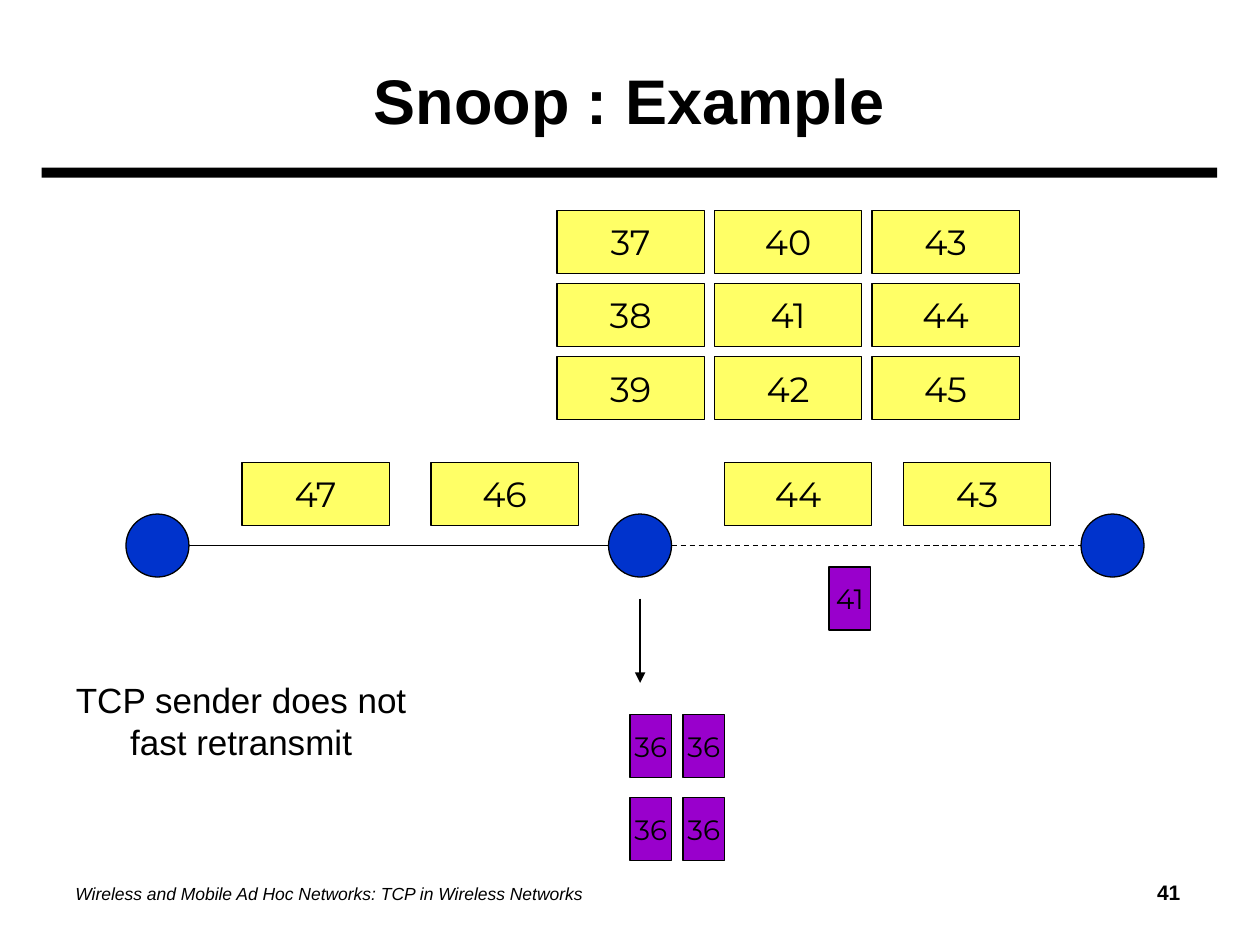
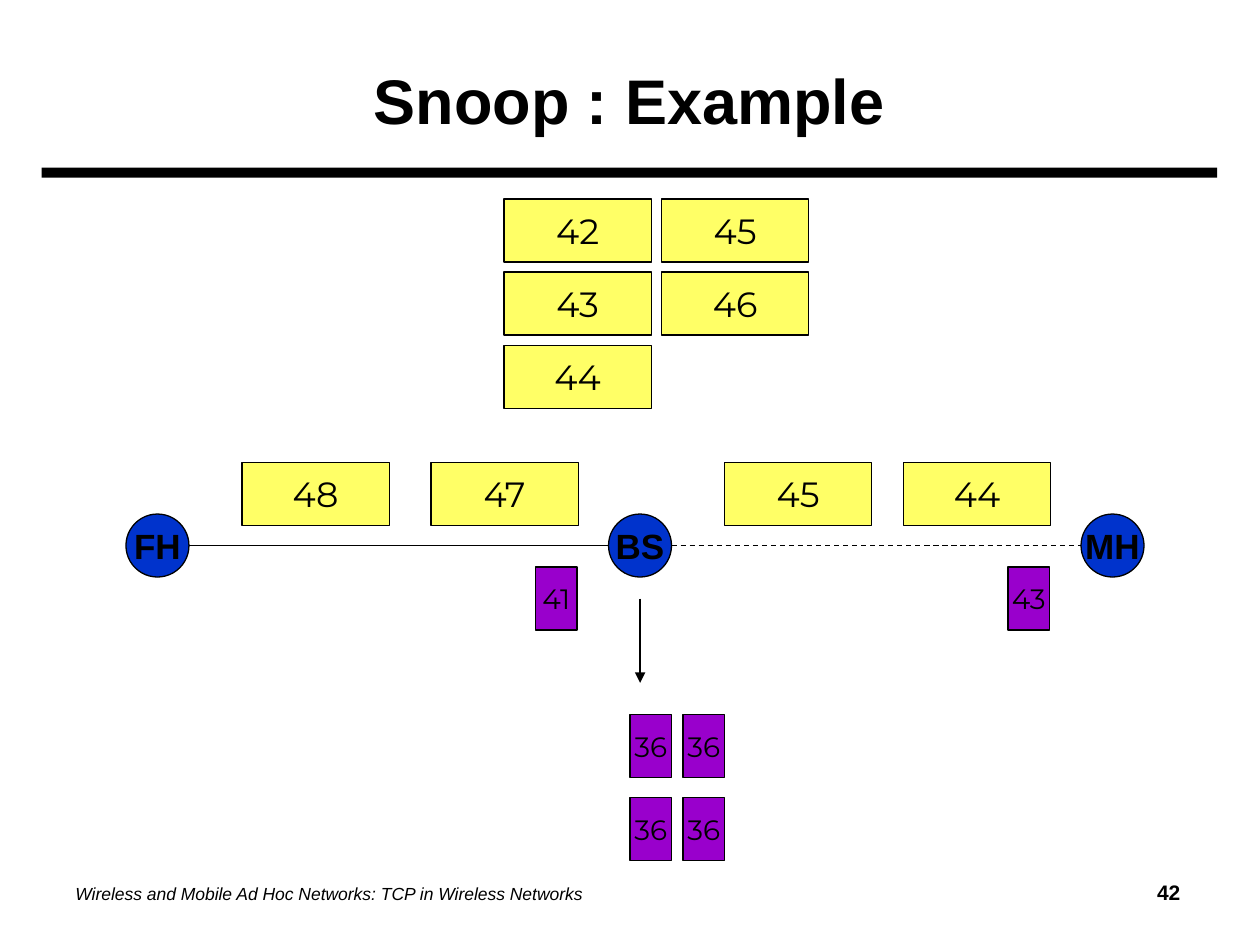
from collections import namedtuple

from lxml.etree import SubElement
from pptx import Presentation
from pptx.dml.color import RGBColor
from pptx.enum.dml import MSO_LINE_DASH_STYLE as Dash
from pptx.enum.shapes import MSO_CONNECTOR_TYPE as Connector
from pptx.enum.shapes import MSO_SHAPE as Shape
from pptx.enum.text import MSO_ANCHOR as Anchor
from pptx.enum.text import PP_ALIGN as Align
from pptx.oxml.ns import qn
from pptx.util import Inches, Pt

Box = namedtuple("Box", "left top width height")
Style = namedtuple("Style", "font size bold italic", defaults=(False, False))

BLACK, BLUE, YELLOW, PURPLE = "000000", "0033CC", "FFFF66", "9900CC"
TITLE = Style("Arial", 36, bold=True)
FOOTER = Style("Arial", 10, italic=True)
NUMBER = Style("Arial", 12, bold=True)
NODE = Style("Arial", 20, bold=True)
REMARK = Style("Arial", 20)
PACKET = Style("Montserrat", 20)
ACK = Style("Montserrat", 16)

PACKET_WIDTH, ACK_WIDTH, ITEM_HEIGHT = 1.17, 0.33, 0.5
GAP = 0.08
NODE_SIZE = 0.5
HEADING_BOX = Box(0.33, 0.25, 9.33, 1.16)
FOOTER_BOX = Box(0.5, 6.83, 9, 0.5)
PATH_BOX = Box(1, 3.67, 8.08, 1.33)
DUPLICATES_BOX = Box(5, 4.75, 0.75, 2.08)


def color(hex_string):
    return RGBColor.from_string(hex_string)


def add_span(para, text, style):
    span = para.add_run()
    span.text = text
    span.font.name, span.font.size = style.font, Pt(style.size)
    span.font.bold, span.font.italic = style.bold, style.italic
    span.font.color.rgb = color(BLACK)


def write_lines(shape, lines, style, wrap=False):
    frame = shape.text_frame
    frame.word_wrap = wrap
    frame.vertical_anchor = Anchor.MIDDLE
    for index, line in enumerate(lines):
        para = frame.add_paragraph() if index else frame.paragraphs[0]
        para.alignment = Align.CENTER
        add_span(para, line, style)


def add_textbox(page, box):
    return page.shapes.add_textbox(*map(Inches, box))


def add_block(page, kind, box, fill, text="", style=PACKET, outlined=True):
    block = page.shapes.add_shape(kind, *map(Inches, box))
    block.shadow.inherit = False
    block.fill.solid()
    block.fill.fore_color.rgb = color(fill)
    if outlined:
        block.line.color.rgb = color(BLACK)
        block.line.width = Pt(0.75)
    else:
        block.line.fill.background()
    if text:
        write_lines(block, [text], style)


def add_packet(page, left, top, number):
    box = Box(left, top, PACKET_WIDTH, ITEM_HEIGHT)
    add_block(page, Shape.RECTANGLE, box, YELLOW, str(number), PACKET)


def add_ack(page, left, top, number):
    box = Box(left, top, ACK_WIDTH, ITEM_HEIGHT)
    add_block(page, Shape.RECTANGLE, box, PURPLE, str(number), ACK)


def add_link(page, start, end, dashed=False, arrow=False):
    link = page.shapes.add_connector(Connector.STRAIGHT, *map(Inches, start + end))
    link.line.color.rgb = color(BLACK)
    link.line.width = Pt(0.75)
    if dashed:
        link.line.dash_style = Dash.DASH
    if arrow:
        SubElement(link.line._get_or_add_ln(), qn("a:tailEnd"), type="triangle")
    SubElement(link._element.spPr, qn("a:effectLst"))


def add_heading(page, box, text):
    rule_height = 0.08
    rule_top = box.top + box.height - rule_height
    rule = Box(box.left, rule_top, box.width, rule_height)
    add_block(page, Shape.RECTANGLE, rule, BLACK, outlined=False)
    title = add_textbox(page, Box(box.left, box.top, box.width, box.height - rule_height))
    write_lines(title, [text], TITLE, wrap=True)


def add_footer(page, box, number):
    footer = add_textbox(page, box)
    frame = footer.text_frame
    frame.word_wrap = True
    frame.vertical_anchor = Anchor.MIDDLE
    para = frame.paragraphs[0]
    stops = SubElement(para._p.get_or_add_pPr(), qn("a:tabLst"))
    SubElement(stops, qn("a:tab"), pos=str(Inches(box.width - 0.23)), algn="r")
    add_span(para, "Wireless and Mobile Ad Hoc Networks: TCP in Wireless Networks", FOOTER)
    add_span(para, f"\t{number}", NUMBER)


def add_path(page, box, names, packets, acks):
    node_top = box.top + 0.41
    middle = node_top + NODE_SIZE / 2
    lefts = [box.left + offset for offset in (0, 3.83, box.width - NODE_SIZE)]
    for left, name in zip(lefts, names):
        add_block(page, Shape.OVAL, Box(left, node_top, NODE_SIZE, NODE_SIZE), BLUE, name, NODE)
    for start, end, dashed in zip(lefts, lefts[1:], (False, True)):
        add_link(page, (start + NODE_SIZE, middle), (end, middle), dashed)
    for offset, number in zip((0.92, 2.42, 4.75, 6.17), packets):
        add_packet(page, box.left + offset, box.top, number)
    for offset, number in acks:
        add_ack(page, box.left + offset, box.top + box.height - ITEM_HEIGHT, number)


def add_cache(page, box, numbers, rows=3):
    for index, number in enumerate(numbers):
        column, row = divmod(index, rows)
        left = box.left + column * (PACKET_WIDTH + GAP)
        add_packet(page, left, box.top + row * (ITEM_HEIGHT + GAP), number)


def add_duplicates(page, box, number):
    center = box.left + GAP
    add_link(page, (center, box.top), (center, box.top + 0.67), arrow=True)
    right, bottom = box.left + box.width, box.top + box.height
    for top in (box.top + 0.92, bottom - ITEM_HEIGHT):
        for left in (box.left, right - ACK_WIDTH):
            add_ack(page, left, top, number)


def add_remark(page, box, lines):
    write_lines(add_textbox(page, box), lines, REMARK)


def add_example(deck, number, names, packets, acks, cache_box, cached):
    page = deck.slides.add_slide(deck.slide_layouts[6])
    add_heading(page, HEADING_BOX, "Snoop : Example")
    add_footer(page, FOOTER_BOX, number)
    add_path(page, PATH_BOX, names, packets, acks)
    add_cache(page, cache_box, cached)
    add_duplicates(page, DUPLICATES_BOX, 36)
    return page


def main():
    deck = Presentation()
    deck.slide_width, deck.slide_height = Inches(10), Inches(7.5)
    page = add_example(
        deck, 41, ("", "", ""), (47, 46, 44, 43), [(5.58, 41)],
        Box(4.42, 1.67, 3.67, 1.66), range(37, 46),
    )
    add_remark(page, Box(0.5, 5.33, 2.83, 0.77), ["TCP sender does not", "fast retransmit"])
    add_example(
        deck, 42, ("FH", "BS", "MH"), (48, 47, 45, 44), [(3.25, 41), (7, 43)],
        Box(4, 1.58, 2.42, 1.66), range(42, 47),
    )
    deck.save("out.pptx")


if __name__ == "__main__":
    main()
